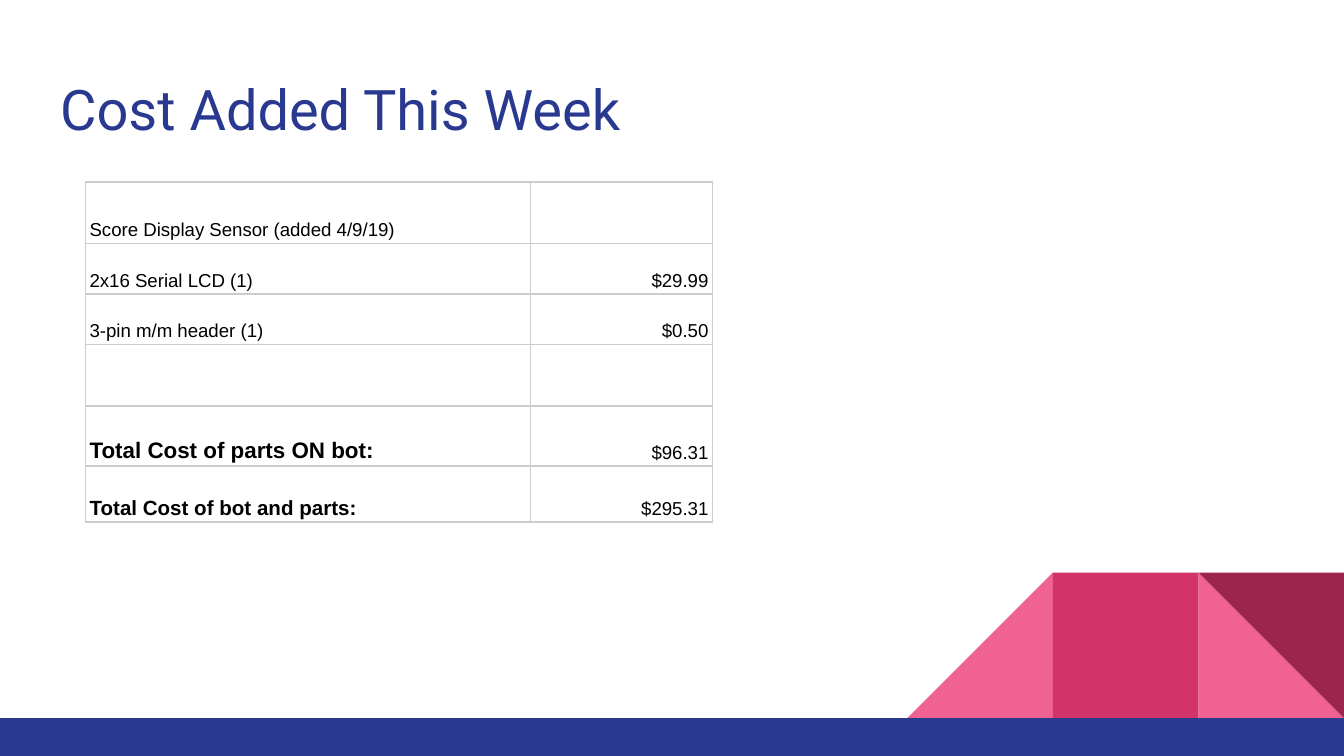
from dataclasses import dataclass

from lxml import etree
from pptx import Presentation
from pptx import util as u
from pptx.dml import color
from pptx.enum import shapes, text
from pptx.oxml import ns


@dataclass(frozen=True)
class Theme:
    """Colours, fonts and type sizes of the deck."""
    navy: str = "2A3990"
    pink: str = "F06292"
    rose: str = "D23369"
    wine: str = "9C254D"
    ink: str = "000000"
    rule: str = "CCCCCC"
    title_font: str = "Roboto"
    body_font: str = "Arial"
    title_size: int = 30
    body_size: int = 10
    subtotal_size: int = 12
    total_size: int = 11


def px(length):
    """Turn px at 96 to the inch into EMU."""
    return u.Emu(length * 9525)


class Painter:
    """Holds the theme and the current page and draws each kind of element."""

    def __init__(self, theme, page):
        self.theme = theme
        self.page = page

    def block(self, kind, left, top, width, height, fill, turn=0):
        """Add a plain filled shape, turned clockwise by degrees."""
        shape = self.page.shapes.add_shape(kind, px(left), px(top), px(width), px(height))
        shape.shadow.inherit = False
        shape.fill.solid()
        shape.fill.fore_color.rgb = color.RGBColor.from_string(fill)
        shape.line.fill.background()
        shape.rotation = turn

    def style(self, para, font, size, ink, bold=False):
        """Format every run of a paragraph."""
        for span in para.runs:
            span.font.name = font
            span.font.size = u.Pt(size)
            span.font.bold = bold
            span.font.color.rgb = color.RGBColor.from_string(ink)

    def title(self, words, left, top, width, height):
        """Add the page title."""
        box = self.page.shapes.add_textbox(px(left), px(top), px(width), px(height))
        frame = box.text_frame
        frame.word_wrap = True
        frame.vertical_anchor = text.MSO_ANCHOR.TOP
        frame.margin_left = frame.margin_right = px(10)
        frame.margin_top = frame.margin_bottom = px(10)
        frame.text = words
        self.style(frame.paragraphs[0], self.theme.title_font,
                   self.theme.title_size, self.theme.navy)

    def border(self, cell):
        """Rule all four sides of a cell."""
        props = cell._tc.get_or_add_tcPr()
        for side in ("lnL", "lnR", "lnT", "lnB"):
            line = etree.SubElement(props, ns.qn(f"a:{side}"), w=str(u.Pt(0.75)))
            fill = etree.SubElement(line, ns.qn("a:solidFill"))
            etree.SubElement(fill, ns.qn("a:srgbClr"), val=self.theme.rule)

    def cell(self, cell, words, align, size, bold):
        """Fill in one table cell."""
        self.border(cell)
        cell.fill.background()
        cell.vertical_anchor = text.MSO_ANCHOR.BOTTOM
        cell.margin_left = cell.margin_right = px(3)
        cell.margin_top = cell.margin_bottom = px(2)
        if words:
            cell.text_frame.text = words
            para = cell.text_frame.paragraphs[0]
            para.alignment = align
            para.line_spacing = 1.15
            self.style(para, self.theme.body_font, size, self.theme.ink, bold)

    def cost_table(self, left, top, widths, rows):
        """Add a table of (height, label, price, label size, label bold) rows."""
        heights = [row[0] for row in rows]
        table = self.page.shapes.add_table(
            len(rows), len(widths), px(left), px(top), px(sum(widths)), px(sum(heights))).table
        table.first_row = table.horz_banding = False
        for column, width in zip(table.columns, widths):
            column.width = px(width)
        for index, (height, label, price, size, bold) in enumerate(rows):
            table.rows[index].height = px(height)
            self.cell(table.cell(index, 0), label, text.PP_ALIGN.LEFT, size, bold)
            self.cell(table.cell(index, 1), price, text.PP_ALIGN.RIGHT,
                      self.theme.body_size, False)


def main():
    """Build the cost page and save the deck."""
    theme = Theme()
    deck = Presentation()
    deck.slide_width, deck.slide_height = px(960), px(540)
    page = deck.slides.add_slide(deck.slide_layouts[6])
    painter = Painter(theme, page)

    tile, floor = 104, 513
    triangle = shapes.MSO_SHAPE.RIGHT_TRIANGLE
    rectangle = shapes.MSO_SHAPE.RECTANGLE
    tiles = [
        (triangle, 1, theme.pink, 0),
        (triangle, 3, theme.pink, 270),
        (rectangle, 2, theme.rose, 0),
        (triangle, 1, theme.wine, 180),
    ]
    for kind, steps, fill, turn in tiles:
        painter.block(kind, 960 - steps * tile, floor - tile, tile, tile, fill, turn)
    painter.block(rectangle, 0, floor, 960, 540 - floor, theme.navy)

    painter.title("Cost Added This Week", 33, 43, 895, 63)
    painter.cost_table(61, 130, (318, 130), [
        (44, "Score Display Sensor (added 4/9/19)", "", theme.body_size, False),
        (36, "2x16 Serial LCD (1)", "$29.99", theme.body_size, False),
        (36, "3-pin m/m header (1)", "$0.50", theme.body_size, False),
        (44, "", "", theme.body_size, False),
        (43, "Total Cost of parts ON bot:", "$96.31", theme.subtotal_size, True),
        (40, "Total Cost of bot and parts:", "$295.31", theme.total_size, True),
    ])
    deck.save("out.pptx")


if __name__ == "__main__":
    main()
